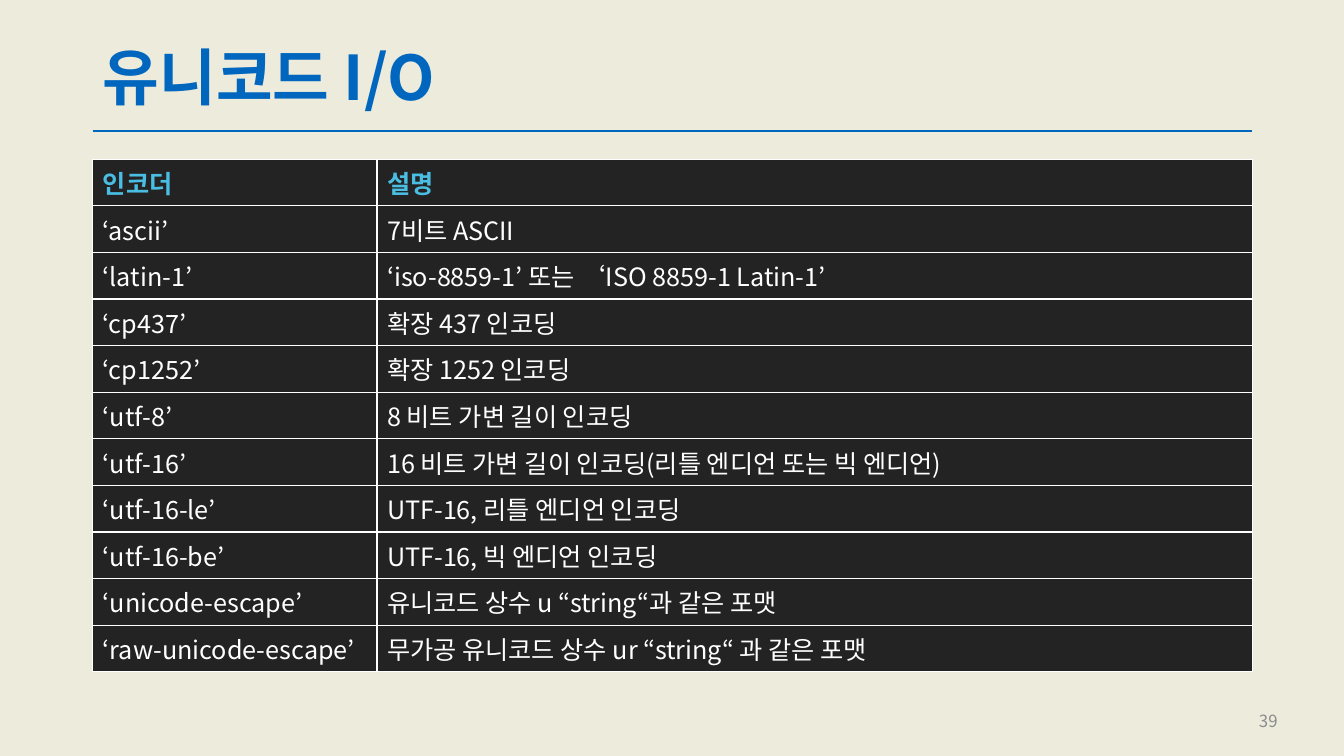
from dataclasses import dataclass

from lxml.etree import SubElement
from pptx import Presentation
from pptx.dml.color import RGBColor
from pptx.enum.shapes import MSO_CONNECTOR
from pptx.enum.text import MSO_ANCHOR, MSO_AUTO_SIZE, PP_ALIGN
from pptx.oxml import parse_xml
from pptx.oxml.ns import nsdecls, qn
from pptx.util import Inches, Pt


@dataclass(frozen=True)
class Theme:
    """Colours, type sizes and font of the deck."""
    paper: str = "ECEBDC"
    accent: str = "0066BE"
    cell: str = "232323"
    heading: str = "4ABEE2"
    light: str = "FFFFFF"
    muted: str = "8C8C8C"
    font: str = "Noto Sans CJK KR"
    title_size: int = 44
    table_size: int = 18
    number_size: int = 12


T = Theme()
WIDTH, HEIGHT = 13.33, 7.5
MARGIN, CONTENT = 0.92, 11.5
COLUMNS = (2.82, 8.68)
HEAD_ROW, BODY_ROW = 0.39, 0.44
ENCODERS = [
    ("인코더", "설명"),
    ("‘ascii’", "7비트 ASCII"),
    ("‘latin-1’", "‘iso-8859-1’ 또는 ‘ISO 8859-1 Latin-1’"),
    ("‘cp437’", "확장 437 인코딩"),
    ("‘cp1252’", "확장 1252 인코딩"),
    ("‘utf-8’", "8 비트 가변 길이 인코딩"),
    ("‘utf-16’", "16 비트 가변 길이 인코딩(리틀 엔디언 또는 빅 엔디언)"),
    ("‘utf-16-le’", "UTF-16, 리틀 엔디언 인코딩"),
    ("‘utf-16-be’", "UTF-16, 빅 엔디언 인코딩"),
    ("‘unicode-escape’", "유니코드 상수 u “string“과 같은 포맷"),
    ("‘raw-unicode-escape’", "무가공 유니코드 상수 ur “string“ 과 같은 포맷"),
]


def rgb(color):
    """Turn a hex string into a colour."""
    return RGBColor.from_string(color)


def write(tf, text, size, color, bold=False, align=PP_ALIGN.LEFT):
    """Fill a text frame with one styled paragraph."""
    p = tf.paragraphs[0]
    p.text = text
    p.alignment = align
    p.font.size, p.font.bold, p.font.name = Pt(size), bold, T.font
    p.font.color.rgb = rgb(color)
    SubElement(p._p.pPr.find(qn("a:defRPr")), qn("a:ea"), typeface=T.font)
    return p


def add_heading(s, text, x, y, w, h):
    """Place the title with a rule below it."""
    sp = s.shapes.title
    sp.left, sp.top, sp.width, sp.height = map(Inches, (x, y, w, h))
    tf = sp.text_frame
    tf.word_wrap, tf.auto_size = True, MSO_AUTO_SIZE.NONE
    tf.vertical_anchor = MSO_ANCHOR.MIDDLE
    write(tf, text, T.title_size, T.accent, bold=True).line_spacing = 0.9
    rule_y = Inches(y + h + 0.1)
    rule = s.shapes.add_connector(
        MSO_CONNECTOR.STRAIGHT, Inches(x), rule_y, Inches(x + w), rule_y)
    rule.line.color.rgb, rule.line.width = rgb(T.accent), Pt(1.5)
    SubElement(rule._element.spPr, qn("a:effectLst"))


def add_borders(cell):
    """Draw a thin line on all four sides of a cell."""
    tcPr = cell._tc.get_or_add_tcPr()
    for i, side in enumerate("LRTB"):
        tcPr.insert(i, parse_xml(
            f'<a:ln{side} {nsdecls("a")} w="{Pt(1)}"><a:solidFill>'
            f'<a:srgbClr val="{T.light}"/></a:solidFill></a:ln{side}>'))


def add_encoder_table(s, rows, x, y, w):
    """Place the encoder table, its first row as heading."""
    heights = [HEAD_ROW] + [BODY_ROW] * (len(rows) - 1)
    table = s.shapes.add_table(len(rows), len(COLUMNS), Inches(x), Inches(y),
                               Inches(w), Inches(sum(heights))).table
    for column, width in zip(table.columns, COLUMNS):
        column.width = Inches(width)
    for i, (row, height) in enumerate(zip(table.rows, heights)):
        row.height = Inches(height)
        for cell, text in zip(row.cells, rows[i]):
            cell.fill.solid()
            cell.fill.fore_color.rgb = rgb(T.cell)
            cell.vertical_anchor = MSO_ANCHOR.MIDDLE
            write(cell.text_frame, text, T.table_size,
                  T.light if i else T.heading, bold=i == 0)
            add_borders(cell)


def add_page_number(s, number, x, y, w, h):
    """Place the page number at the right of its box."""
    tf = s.shapes.add_textbox(*map(Inches, (x, y, w, h))).text_frame
    tf.word_wrap, tf.vertical_anchor = True, MSO_ANCHOR.MIDDLE
    write(tf, str(number), T.number_size, T.muted, align=PP_ALIGN.RIGHT)


def main():
    """Build and save the deck."""
    prs = Presentation()
    prs.slide_width, prs.slide_height = Inches(WIDTH), Inches(HEIGHT)
    s = prs.slides.add_slide(prs.slide_layouts.get_by_name("Title Only"))
    s.background.fill.solid()
    s.background.fill.fore_color.rgb = rgb(T.paper)
    add_heading(s, "유니코드 I/O", MARGIN, 0.4, CONTENT, 0.8)
    add_encoder_table(s, ENCODERS, MARGIN, 1.58, CONTENT)
    add_page_number(s, 39, 9.77, 6.95, 3, 0.4)
    prs.save("out.pptx")


if __name__ == "__main__":
    main()
